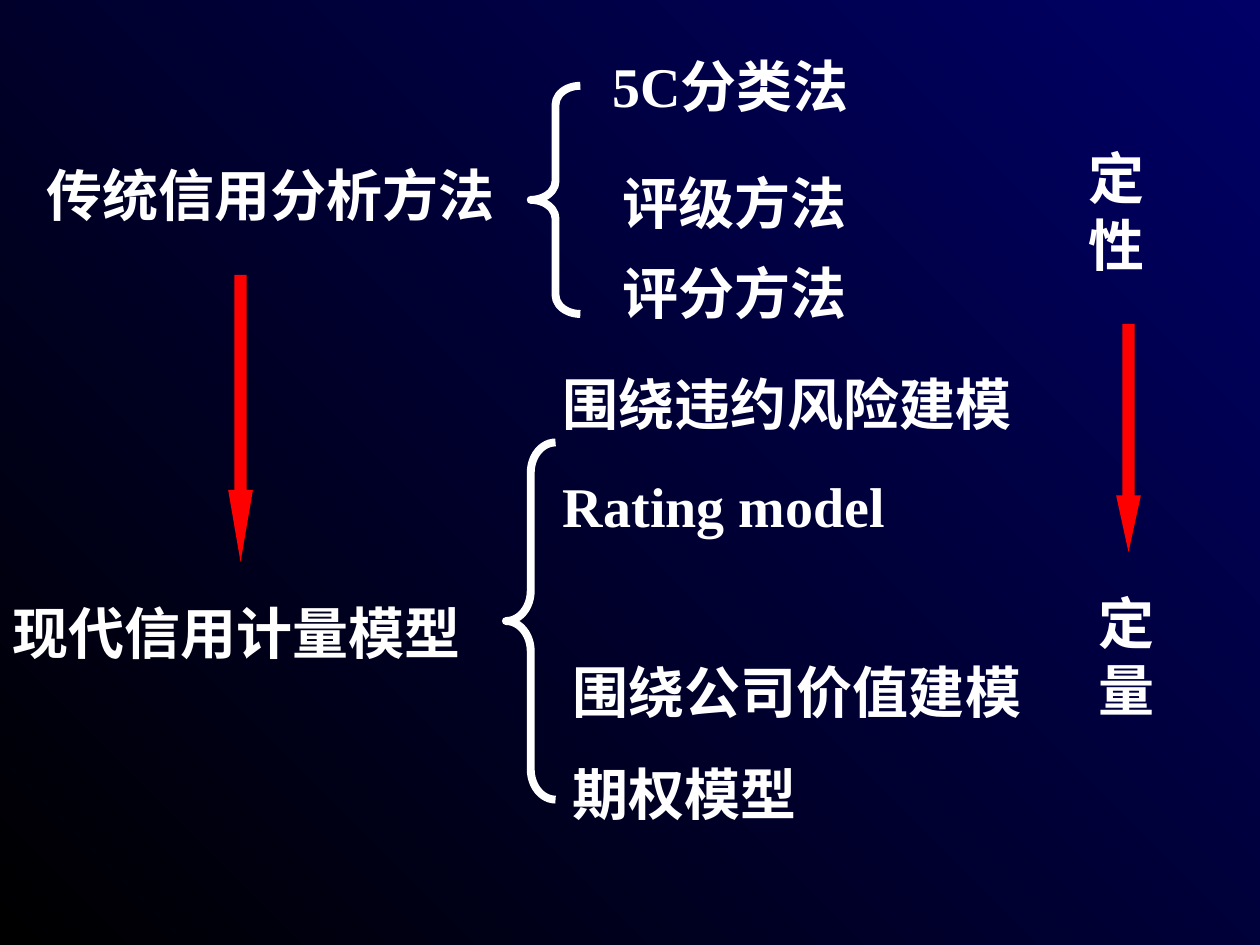
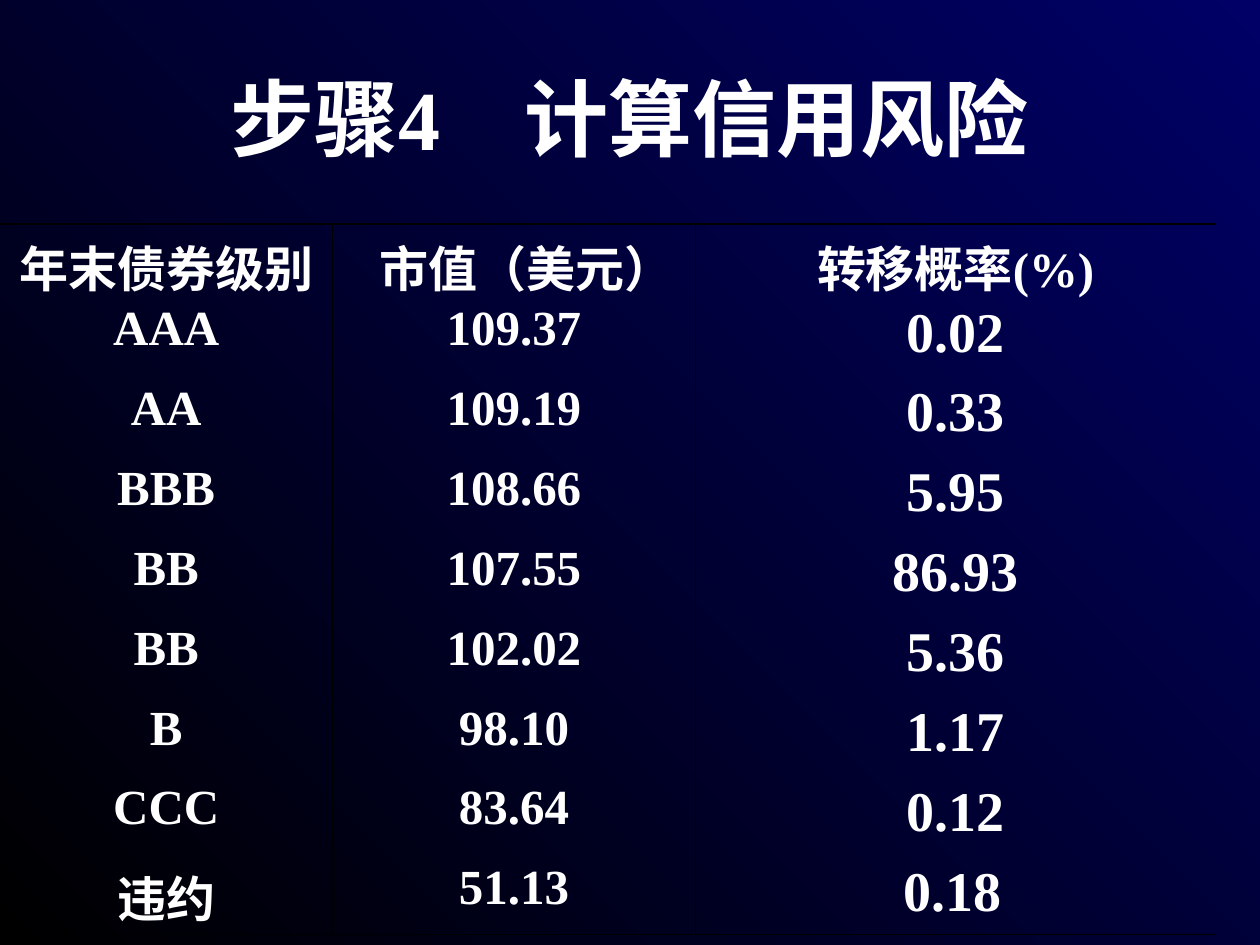
from dataclasses import dataclass

from lxml import etree
from pptx import Presentation
from pptx import util as u
from pptx.dml.color import RGBColor
from pptx.enum import shapes, text
from pptx.oxml import ns

COLORS = {"navy": "000066", "black": "000000", "white": "FFFFFF", "red": "FF0000"}
SERIF, SANS = "Times New Roman", "Arial"
CENTER, LEFT = text.PP_ALIGN.CENTER, text.PP_ALIGN.LEFT


@dataclass
class Label:
    lines: list[str]
    left: float
    top: float
    width: float
    height: float = 1.63
    font: str = SERIF


@dataclass
class Symbol:
    kind: shapes.MSO_SHAPE
    left: float
    top: float
    width: float
    height: float
    adjustments: tuple[float, float]


# Method overview: lengths in cm
LABELS = [
    Label(["传统信用分析方法"], 0.69, 3.12, 9.6),
    Label(["5C分类法"], 12.09, 0.91, 8.41),
    Label(["评级方法"], 12.29, 3.28, 5.99),
    Label(["评分方法"], 12.29, 5.08, 7.21),
    Label(["现代信用计量模型"], 0, 11.94, 9.7),
    Label(["围绕违约风险建模", "Rating model"], 11.1, 7.32, 10.8, 3.68),
    Label(["围绕公司价值建模", "期权模型"], 11.3, 13.13, 11.2, 3.68),
    Label(["定性"], 21.69, 2.77, 2.01, 2.97, SANS),
    Label(["定量"], 21.89, 11.73, 1.8, 2.97, SANS),
]
BRACE, ARROW = shapes.MSO_SHAPE.LEFT_BRACE, shapes.MSO_SHAPE.DOWN_ARROW
SYMBOLS = [
    Symbol(BRACE, 10.7, 1.73, 1, 4.6, (0.38, 0.5)),
    Symbol(BRACE, 10.2, 8.92, 1, 7.2, (0.61, 0.5)),
    Symbol(ARROW, 4.6, 5.54, 0.5, 5.79, (0.5, 2.91)),
    Symbol(ARROW, 22.5, 6.53, 0.5, 4.6, (0.5, 2.29)),
]

# Rating table
HEADER = ("年末债券级别", "市值（美元）", "转移概率(%)")
RATINGS = [
    ("AAA", "109.37", "0.02"),
    ("AA", "109.19", "0.33"),
    ("BBB", "108.66", "5.95"),
    ("BB", "107.55", "86.93"),
    ("BB", "102.02", "5.36"),
    ("B", "98.10", "1.17"),
    ("CCC", "83.64", "0.12"),
    ("违约", "51.13", "0.18"),
]
COLUMN_WIDTHS = (6.7, 7.32, 10.49)
HEADER_HEIGHT, ROW_HEIGHT = 1.4, 1.55
INNER_LINE, OUTER_LINE = 0.45, 1.08


def rgb(name: str) -> RGBColor:
    return RGBColor.from_string(COLORS[name])


def format_paragraph(p, size: int, font: str = SERIF) -> None:
    for r in p.runs:
        r.font.size, r.font.name, r.font.bold = u.Pt(size), font, True
        r.font.color.rgb = rgb("white")


def add_slide(prs):
    """Add a blank slide with the shared diagonal gradient."""
    s = prs.slides.add_slide(prs.slide_layouts[6])
    fill = s.background.fill
    fill.gradient()
    fill.gradient_angle = 225
    for stop, name in zip(fill.gradient_stops, ("navy", "black")):
        stop.color.rgb = rgb(name)
    return s


def add_label(s, label: Label) -> None:
    box = (label.left, label.top, label.width, label.height)
    tf = s.shapes.add_textbox(*map(u.Cm, box)).text_frame
    tf.word_wrap = True
    tf.auto_size = text.MSO_AUTO_SIZE.SHAPE_TO_FIT_TEXT
    tf.text = "\n".join(label.lines)
    for i, p in enumerate(tf.paragraphs):
        if i:
            p.space_before = u.Pt(20)
        format_paragraph(p, 32, label.font)


def add_symbol(s, symbol: Symbol) -> None:
    box = (symbol.left, symbol.top, symbol.width, symbol.height)
    sp = s.shapes.add_shape(symbol.kind, *map(u.Cm, box))
    sp.shadow.inherit = False
    for i, value in enumerate(symbol.adjustments):
        sp.adjustments[i] = value
    if symbol.kind == BRACE:
        sp.fill.background()
        sp.line.color.rgb = rgb("white")
        sp.line.width = u.Pt(4.5)
    else:
        sp.fill.solid()
        sp.fill.fore_color.rgb = rgb("red")
        sp.line.fill.background()


def add_title(s, before: str, after: str) -> None:
    """Add a centred title whose two parts are parted by a wide space."""
    tf = s.shapes.add_textbox(*map(u.Cm, (1.27, 0.76, 22.86, 3.18))).text_frame
    tf.word_wrap = True
    tf.vertical_anchor = text.MSO_ANCHOR.MIDDLE
    p = tf.paragraphs[0]
    p.alignment = CENTER
    for part in (before, " ", after):
        r = p.add_run()
        r.text = part
    format_paragraph(p, 48)
    p.runs[1].font._element.set("spc", "3600")


def set_borders(cell, widths: dict[str, float]) -> None:
    """Draw the sides with a width in points and clear the others."""
    tc_pr = cell._tc.get_or_add_tcPr()
    for i, side in enumerate("LRTB"):
        ln = etree.Element(ns.qn(f"a:ln{side}"))
        if side in widths:
            ln.set("w", str(u.Pt(widths[side])))
            fill = etree.SubElement(ln, ns.qn("a:solidFill"))
            etree.SubElement(fill, ns.qn("a:srgbClr"), val=COLORS["black"])
        else:
            etree.SubElement(ln, ns.qn("a:noFill"))
        tc_pr.insert(i, ln)


def add_rating_table(s) -> None:
    rows = [HEADER, *RATINGS]
    last_row, last_col = len(rows) - 1, len(HEADER) - 1
    heights = [HEADER_HEIGHT] + [ROW_HEIGHT] * len(RATINGS)
    frame = s.shapes.add_table(len(rows), len(HEADER), 0, u.Cm(4.52),
                               u.Cm(sum(COLUMN_WIDTHS)), u.Cm(sum(heights)))
    table = frame.table
    table.first_row = table.horz_banding = False
    for column, width in zip(table.columns, COLUMN_WIDTHS):
        column.width = u.Cm(width)
    for row, height in zip(table.rows, heights):
        row.height = u.Cm(height)

    for i, values in enumerate(rows):
        for j, value in enumerate(values):
            cell = table.cell(i, j)
            cell.text = value
            cell.fill.background()
            p = cell.text_frame.paragraphs[0]
            p.alignment = CENTER
            format_paragraph(p, 32 if i and j == last_col else 28)
            sides = {"L": (j > 0, INNER_LINE), "R": (j < last_col, INNER_LINE),
                     "T": (i == 0, OUTER_LINE), "B": (i == last_row, OUTER_LINE)}
            set_borders(cell, {side: w for side, (drawn, w) in sides.items() if drawn})

    # Indented cells
    table.cell(0, 1).margin_left = u.Cm(0.75)
    last = table.cell(last_row, last_col)
    last.margin_left = u.Cm(4.2)
    last.text_frame.paragraphs[0].alignment = LEFT


def main() -> None:
    prs = Presentation()
    prs.slide_width, prs.slide_height = u.Cm(25.4), u.Cm(19.05)

    # Slide 1: from qualitative to quantitative methods
    s = add_slide(prs)
    for label in LABELS:
        add_label(s, label)
    for symbol in SYMBOLS:
        add_symbol(s, symbol)

    # Slide 2: credit risk by rating
    s = add_slide(prs)
    add_title(s, "步骤4", "计算信用风险")
    add_rating_table(s)

    prs.save("out.pptx")


if __name__ == "__main__":
    main()
